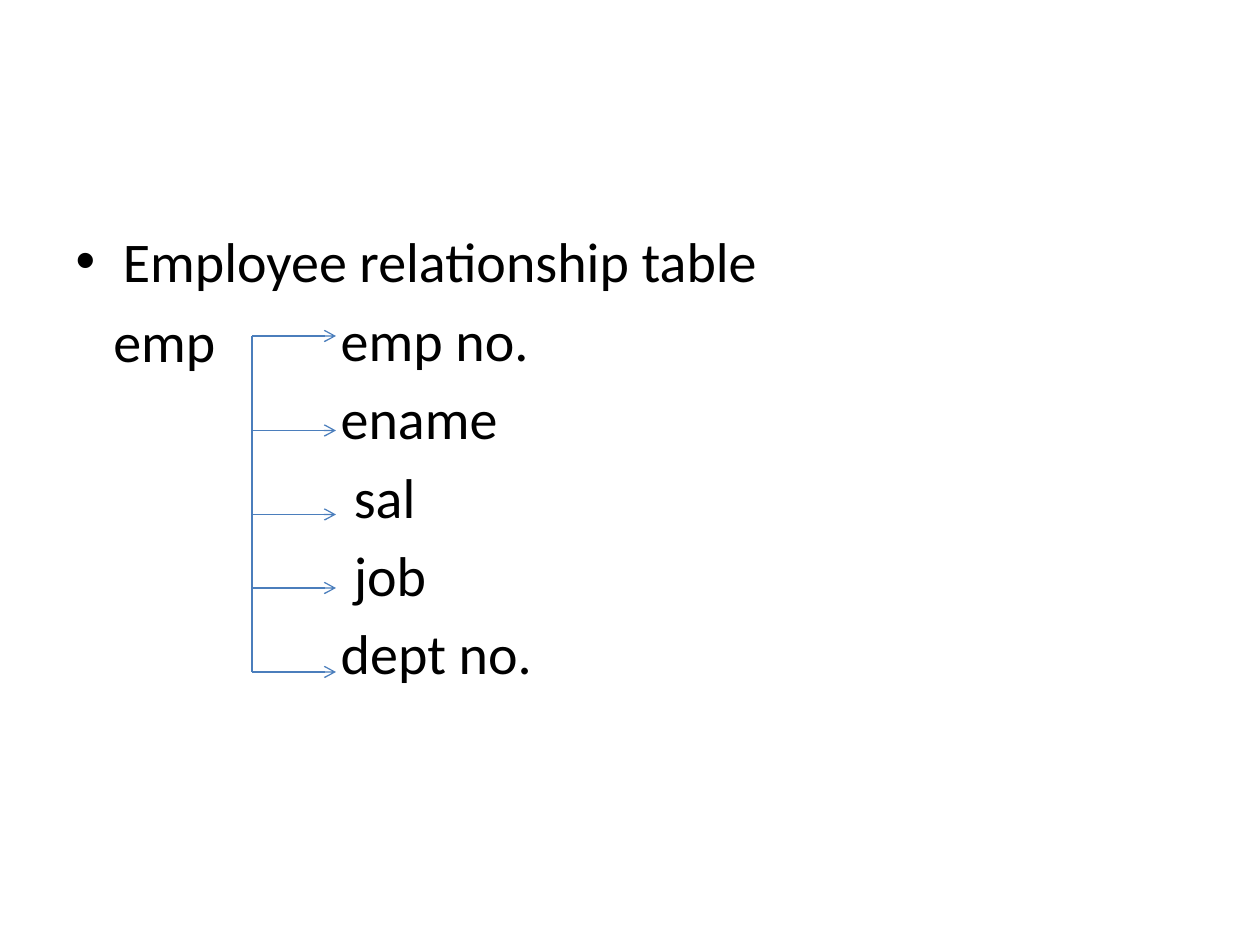
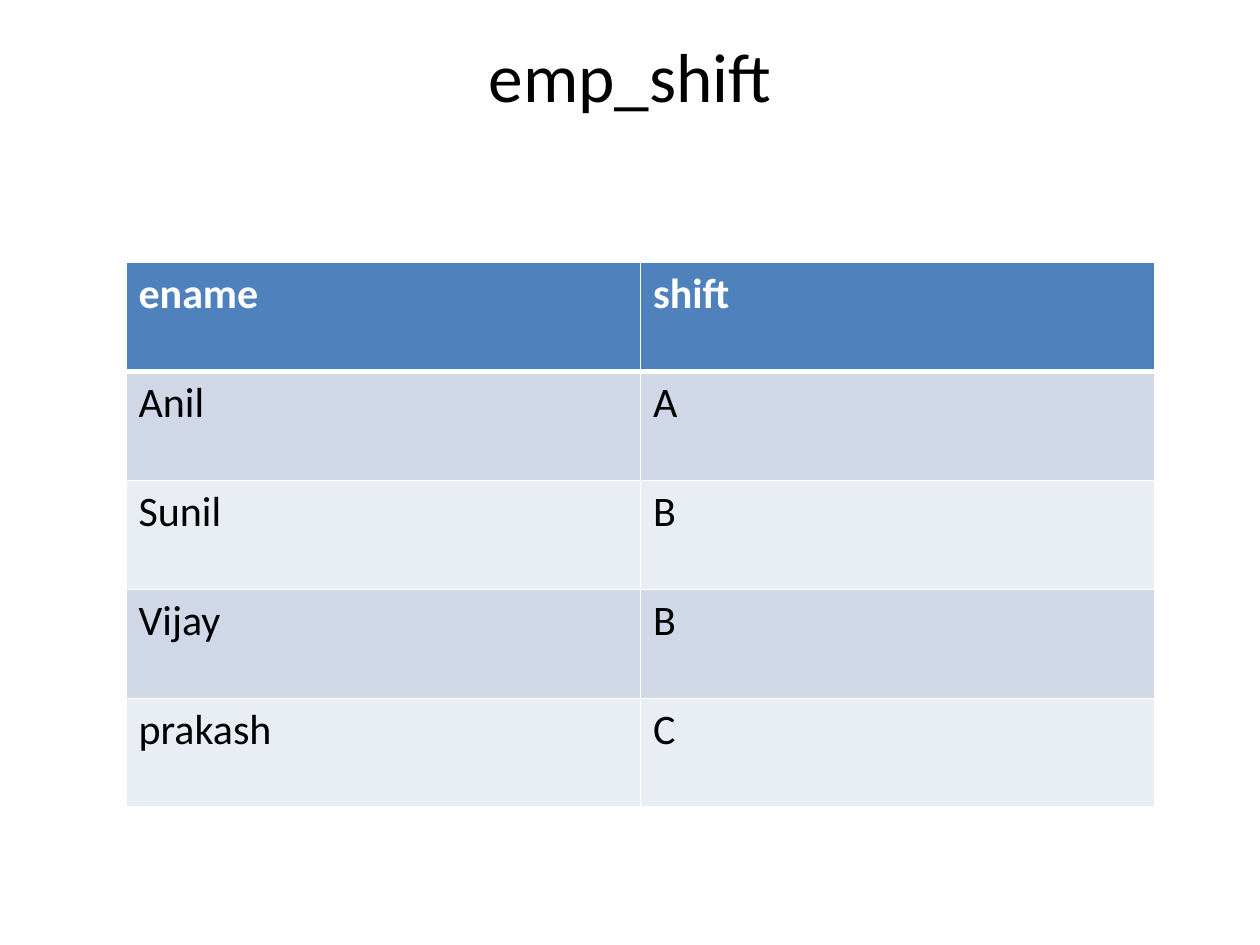
"""Build two slides: the employee relationship diagram and the emp_shift table."""
from lxml.etree import SubElement
from pptx import Presentation
from pptx.dml.color import RGBColor
from pptx.enum.shapes import MSO_CONNECTOR as CONNECTOR
from pptx.enum.text import MSO_ANCHOR as ANCHOR, MSO_AUTO_SIZE as AUTO_SIZE, PP_ALIGN as ALIGN
from pptx.oxml.ns import qn
from pptx.util import Pt

PX = 9525
FONT = "Calibri"
BLACK = RGBColor(0x00, 0x00, 0x00)
WHITE = RGBColor(0xFF, 0xFF, 0xFF)
LINE_BLUE = RGBColor(0x4B, 0x7E, 0xBC)
HEADER_BLUE = RGBColor(0x4F, 0x81, 0xBD)
BANDS = [RGBColor(0xE9, 0xED, 0xF4), RGBColor(0xD0, 0xD8, 0xE8)]


def place(shape, left, top, width, height):
    shape.left, shape.top = left * PX, top * PX
    shape.width, shape.height = width * PX, height * PX


def format_runs(paragraph, size, color, bold=False):
    for run in paragraph.runs:
        run.font.name = FONT
        run.font.size = Pt(size)
        run.font.bold = bold
        run.font.color.rgb = color


presentation = Presentation()
presentation.slide_width = 960 * PX
presentation.slide_height = 720 * PX

relationship_slide = presentation.slides.add_slide(presentation.slide_layouts[1])
empty_title = relationship_slide.shapes.title.element
empty_title.getparent().remove(empty_title)
body = relationship_slide.placeholders[1]
place(body, 48, 168, 864, 475)
body.text_frame.auto_size = AUTO_SIZE.NONE

heading = body.text_frame.paragraphs[0]
heading.text = "Employee relationship table"
heading.space_before = Pt(0)
format_runs(heading, 32, BLACK)

FIELD_LEFT, INSET_FIELD_LEFT = 202, 212
fields = [
    ("emp no.", FIELD_LEFT),
    ("ename", FIELD_LEFT),
    ("sal", INSET_FIELD_LEFT),
    ("job", INSET_FIELD_LEFT),
    ("dept no.", FIELD_LEFT),
]
for text, margin in fields:
    paragraph = body.text_frame.add_paragraph()
    paragraph.text = text
    properties = paragraph._p.get_or_add_pPr()
    properties.set("marL", str(margin * PX))
    properties.set("indent", "0")
    SubElement(properties, qn("a:buNone"))
    format_runs(paragraph, 32, BLACK)

entity_label = relationship_slide.shapes.add_textbox(77 * PX, 229 * PX, 108 * PX, 62 * PX)
entity_label.text_frame.word_wrap = True
entity_label.text_frame.text = "emp"
format_runs(entity_label.text_frame.paragraphs[0], 32, BLACK)

TRUNK_X, ARROW_X = 192, 256
arrow_levels = [256, 328, 392, 448, 512]
trunk = (TRUNK_X, arrow_levels[0], TRUNK_X, arrow_levels[-1])
branches = [(TRUNK_X, level, ARROW_X, level) for level in arrow_levels]
for ends in [trunk] + branches:
    connector = relationship_slide.shapes.add_connector(
        CONNECTOR.STRAIGHT, *[end * PX for end in ends])
    connector.line.color.rgb = LINE_BLUE
    connector.line.width = Pt(0.75)
    if ends != trunk:
        SubElement(connector.line._get_or_add_ln(), qn("a:tailEnd"), type="arrow")
    SubElement(connector._element.spPr, qn("a:effectLst"))

shift_slide = presentation.slides.add_slide(presentation.slide_layouts[5])
title = shift_slide.shapes.title
place(title, 48, 25, 864, 120)
title.text_frame.text = "emp_shift"
title.text_frame.auto_size = AUTO_SIZE.NONE
title.text_frame.vertical_anchor = ANCHOR.TOP
title.text_frame.margin_top = 0
title.text_frame.paragraphs[0].alignment = ALIGN.CENTER
format_runs(title.text_frame.paragraphs[0], 39.6, BLACK)

shifts = [
    ("ename", "shift"),
    ("Anil", "A"),
    ("Sunil", "B"),
    ("Vijay", "B"),
    ("prakash", "C"),
]
COLUMN_WIDTH, ROW_HEIGHT = 392, 83
table = shift_slide.shapes.add_table(
    len(shifts), 2, 96 * PX, 200 * PX,
    2 * COLUMN_WIDTH * PX, len(shifts) * ROW_HEIGHT * PX).table
for column in table.columns:
    column.width = COLUMN_WIDTH * PX
for row_index, values in enumerate(shifts):
    is_header = row_index == 0
    table.rows[row_index].height = ROW_HEIGHT * PX
    for column_index, value in enumerate(values):
        cell = table.cell(row_index, column_index)
        cell.text_frame.text = value
        format_runs(cell.text_frame.paragraphs[0], 24, WHITE if is_header else BLACK, is_header)
        cell_properties = cell._tc.get_or_add_tcPr()
        for side in "LRTB":
            thick = (row_index, side) in [(0, "B"), (1, "T")]
            border = SubElement(cell_properties, qn(f"a:ln{side}"), w=str(Pt(3 if thick else 1)))
            border_fill = SubElement(border, qn("a:solidFill"))
            SubElement(border_fill, qn("a:srgbClr"), val=str(WHITE))
        cell.fill.solid()
        cell.fill.fore_color.rgb = HEADER_BLUE if is_header else BANDS[row_index % 2]

presentation.save("out.pptx")
